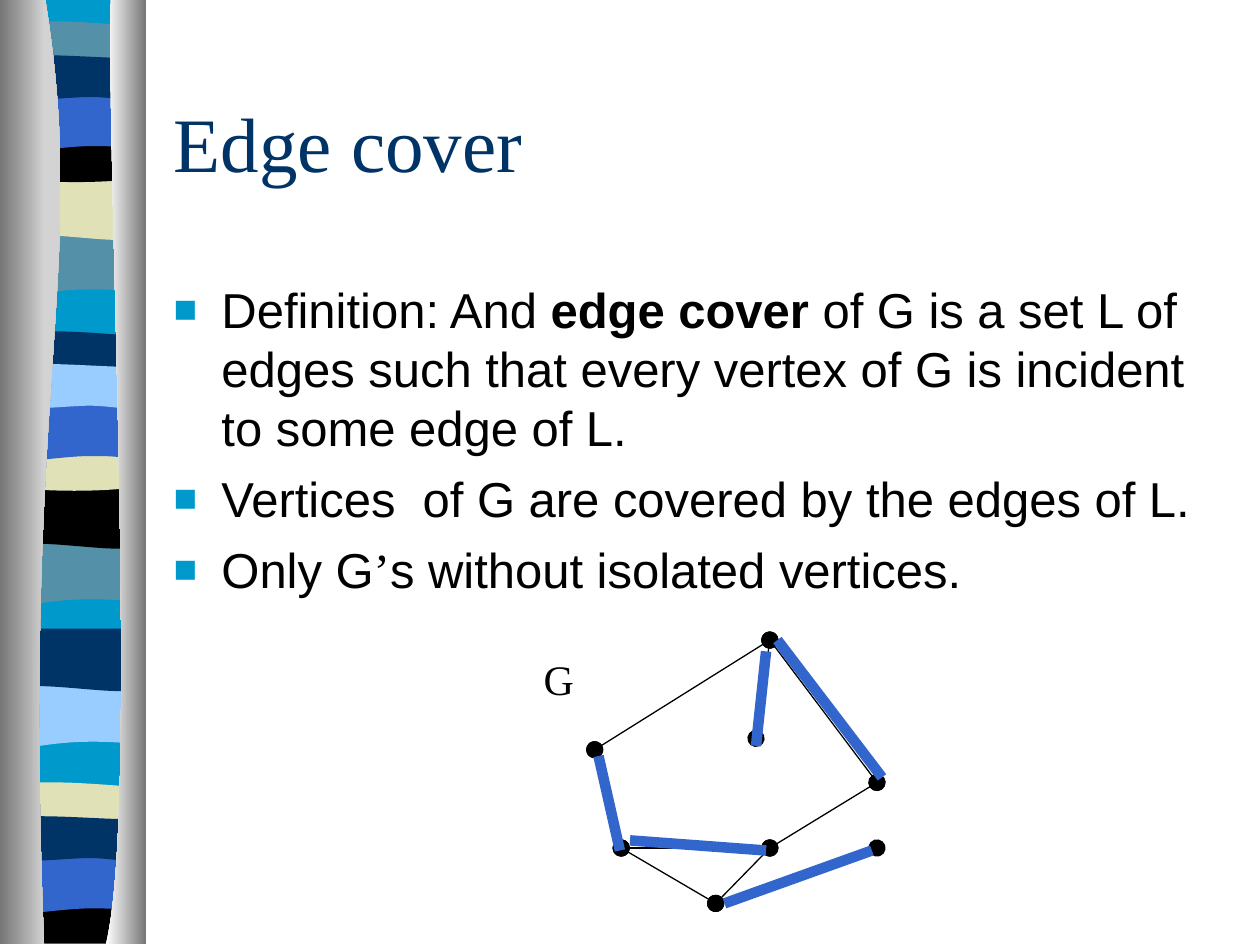
from typing import NamedTuple

from lxml.etree import SubElement
from pptx import Presentation
from pptx.dml.color import RGBColor
from pptx.enum.shapes import MSO_CONNECTOR
from pptx.enum.text import MSO_ANCHOR, MSO_AUTO_SIZE, PP_ALIGN
from pptx.oxml.ns import qn
from pptx.util import Inches, Pt

BLACK = RGBColor(0x00, 0x00, 0x00)
WHITE = RGBColor(0xFF, 0xFF, 0xFF)
GREY = RGBColor(0x76, 0x76, 0x76)
PALE = RGBColor(0xD3, 0xD3, 0xD3)
NAVY = RGBColor(0x00, 0x33, 0x66)
BLUE = RGBColor(0x33, 0x66, 0xCC)
CYAN = RGBColor(0x00, 0x99, 0xCC)
SKY = RGBColor(0x99, 0xCC, 0xFF)
TEAL = RGBColor(0x54, 0x90, 0xA8)
SAND = RGBColor(0xE1, 0xE1, 0xB7)
SERIF, SANS = "Times New Roman", "Arial"

# Outlines: two numbers are a corner, six are a cubic curve (two handles, end).
SHEET = [(1.08, 0), (1.08, 7.47), (0, 7.47), (0, 0)]
SLAB = [(1.08, 0), (1.08, 0.47), (0.33, 0.39, 0.18, 0.55, 0, 0.47), (0, 0)]
CREST = [(1.08, 0), (1.08, 0.47), (0.9, 0.55, 0.33, 0.41, 0, 0.47), (0, 0)]
STRIP = [(1.08, 0.05), (1.08, 0.29), (0.9, 0.33, 0.18, 0.33, 0, 0.29), (0, 0.05),
         (0.06, 0, 0.23, 0.01, 0.41, 0.01), (0.59, 0.01, 0.94, 0.04, 1.08, 0.05)]
BOWL = [(1.08, 0), (1.08, 0.32), (0.9, 0.38, 0.18, 0.38, 0, 0.32), (0, 0),
        (0.66, 0.05, 0.85, 0, 1.08, 0)]
BASE = [(1.08, 0), (1.08, 0.37), (0, 0.37), (0, 0), (0.66, 0.05, 0.85, 0, 1.08, 0)]
ARCH = [(1.08, 0), (1.08, 0.47), (0.91, 0.42, 0.84, 0.42, 0.66, 0.42),
        (0.48, 0.42, 0.16, 0.47, 0, 0.47), (0, 0)]
DRIFT = [(1.08, 0.05), (1.08, 0.36), (1.01, 0.41, 0.84, 0.36, 0.66, 0.36),
         (0.48, 0.36, 0.11, 0.41, 0, 0.36), (0, 0.05), (0.15, 0, 0.73, 0.05, 0.91, 0.05),
         (1.09, 0.05, 1.04, 0.05, 1.08, 0.05)]
LEFT = [(0.36, 0), (0.71, 2.16, 0.17, 2.96, 0.35, 7.49), (0, 7.49), (0, 0)]
RIGHT = [(0.88, 0), (0.84, 1.25, 1.11, 6.46, 0.84, 7.49), (1.16, 7.49), (1.16, 0)]


class Band(NamedTuple):
    form: list
    top: float
    color: RGBColor
    left: float = 0.05


class Edge(NamedTuple):
    start: tuple
    end: tuple


BANDS = [
    Band(SHEET, 0, CYAN, 0.06),
    Band(SLAB, 1.85, TEAL, 0.06), Band(CREST, 1.41, SAND, 0.06),
    Band(STRIP, 0.16, TEAL, 0.06), Band(BOWL, 1.08, BLACK, 0.06),
    Band(ARCH, 0.74, BLUE, 0.06), Band(DRIFT, 0.41, NAVY, 0.06),
    Band(SLAB, 4.31, TEAL), Band(CREST, 3.86, BLACK), Band(STRIP, 2.62, NAVY),
    Band(BOWL, 3.53, SAND), Band(ARCH, 3.2, BLUE), Band(DRIFT, 2.86, SKY),
    Band(SLAB, 5.44, SKY, 0.06), Band(CREST, 4.99, NAVY, 0.06),
    Band(STRIP, 6.2, SAND), Band(BASE, 7.12, BLACK), Band(ARCH, 6.79, BLUE),
    Band(DRIFT, 6.45, NAVY),
]

PEAK, WEST, EAST, INNER = (6.11, 5.08), (4.72, 5.95), (6.96, 6.21), (6, 5.86)
HUB, LOW, FOOT, TIP = (6.11, 6.73), (4.93, 6.73), (5.68, 7.17), (6.96, 6.73)
EDGES = [Edge(WEST, PEAK), Edge(PEAK, EAST), Edge(EAST, HUB), Edge(HUB, FOOT),
         Edge(HUB, LOW), Edge(TIP, FOOT), Edge(FOOT, LOW), Edge(LOW, WEST),
         Edge(PEAK, INNER)]
COVER = [Edge((6.17, 5.08), (7, 6.17)), Edge((6, 5.92), (6.08, 5.17)),
         Edge((4.75, 6), (4.92, 6.75)), Edge((6.08, 6.75), (5, 6.67)),
         Edge((6.92, 6.75), (5.75, 7.17))]


def outline(slide, form: list, left: float = 0, top: float = 0):
    """Draw a closed outline, bending the sides that have handles."""
    ends = [(Inches(left + seg[-2]), Inches(top + seg[-1])) for seg in form]
    pen = slide.shapes.build_freeform(*ends[0])
    pen.add_line_segments(ends[1:])
    shape = pen.convert_to_shape()
    shape.shadow.inherit = False
    shape.line.fill.background()
    sides = list(shape._element.iter(qn("a:lnTo")))
    for side, seg in zip(sides, form[1:]):
        if len(seg) == 6:
            side.tag = qn("a:cubicBezTo")
            for i in (0, 1):
                x = Inches(left + seg[2 * i]) - shape.left
                y = Inches(top + seg[2 * i + 1]) - shape.top
                knob = SubElement(side, qn("a:pt"), x=str(x), y=str(y))
                side.insert(i, knob)
    return shape


def panel(slide, form: list, first: RGBColor, last: RGBColor) -> None:
    fill = outline(slide, form).fill
    fill.gradient()
    fill.gradient_angle = 0
    for stop, color in zip(fill.gradient_stops, (first, last)):
        stop.color.rgb = color


def link(slide, edge: Edge, color: RGBColor, width: float, dots: bool = False) -> None:
    ends = [Inches(v) for v in edge.start + edge.end]
    line = slide.shapes.add_connector(MSO_CONNECTOR.STRAIGHT, *ends)
    line.line.color.rgb = color
    line.line.width = Pt(width)
    if dots:
        for tag in ("a:headEnd", "a:tailEnd"):
            SubElement(line.line._get_or_add_ln(), qn(tag), type="oval", w="lg", len="lg")
    SubElement(line._element.spPr, qn("a:effectLst"))


def bullet(para) -> None:
    props = para._p.get_or_add_pPr()
    props.set("marL", str(Inches(0.38)))
    props.set("indent", str(-Inches(0.38)))
    SubElement(SubElement(props, qn("a:buClr")), qn("a:srgbClr"), val=str(CYAN))
    SubElement(props, qn("a:buSzPct"), val="80000")
    SubElement(props, qn("a:buFont"), typeface=SANS)
    SubElement(props, qn("a:buChar"), char="■")


def write(para, text: str, *, size: float, font: str = SANS,
          color: RGBColor = BLACK, bold: bool = False) -> None:
    run = para.add_run()
    run.text = text
    run.font.size, run.font.name, run.font.bold = Pt(size), font, bold
    run.font.color.rgb = color


def place(shape, left: float, top: float, width: float, height: float):
    """Set the box of a text shape and return its frame."""
    shape.left, shape.top = Inches(left), Inches(top)
    shape.width, shape.height = Inches(width), Inches(height)
    frame = shape.text_frame
    frame.word_wrap = True
    frame.auto_size = MSO_AUTO_SIZE.NONE
    return frame


def main() -> None:
    deck = Presentation()
    deck.slide_width, deck.slide_height = Inches(10), Inches(7.5)
    slide = deck.slides.add_slide(deck.slide_layouts[5])

    for band in BANDS:
        shape = outline(slide, band.form, band.left, band.top)
        shape.fill.solid()
        shape.fill.fore_color.rgb = band.color
    panel(slide, LEFT, GREY, PALE)
    panel(slide, RIGHT, WHITE, GREY)

    frame = place(slide.shapes.title, 1.28, 0.5, 8.5, 1.25)
    frame.vertical_anchor = MSO_ANCHOR.MIDDLE
    para = frame.paragraphs[0]
    para.alignment = PP_ALIGN.LEFT
    write(para, "Edge cover", size=44, font=SERIF, color=NAVY)

    points = [
        [("Definition: And ", {}), ("edge cover", {"bold": True}),
         (" of G is a set L of edges such that every vertex of G is incident"
          " to some edge of L.", {})],
        [("Vertices  of G are covered by the edges of L.", {})],
        [("Only G", {}), ("’", {"font": SERIF}), ("s without isolated vertices.", {})],
    ]
    frame = place(slide.shapes.add_textbox(0, 0, 0, 0), 1.28, 2.17, 8.5, 3.08)
    for i, runs in enumerate(points):
        para = frame.add_paragraph() if i else frame.paragraphs[0]
        bullet(para)
        para.line_spacing = Pt(33.6)
        para.space_before = Pt(7 if i else 0)
        for text, style in runs:
            write(para, text, size=28, **style)

    for edge in EDGES:
        link(slide, edge, BLACK, 0.75, dots=True)
    frame = place(slide.shapes.add_textbox(0, 0, 0, 0), 4.08, 5.14, 0.71, 0.5)
    frame.paragraphs[0].alignment = PP_ALIGN.CENTER
    write(frame.paragraphs[0], "G", size=24, font=SERIF)
    for edge in COVER:
        link(slide, edge, BLUE, 6)

    deck.save("out.pptx")


if __name__ == "__main__":
    main()
